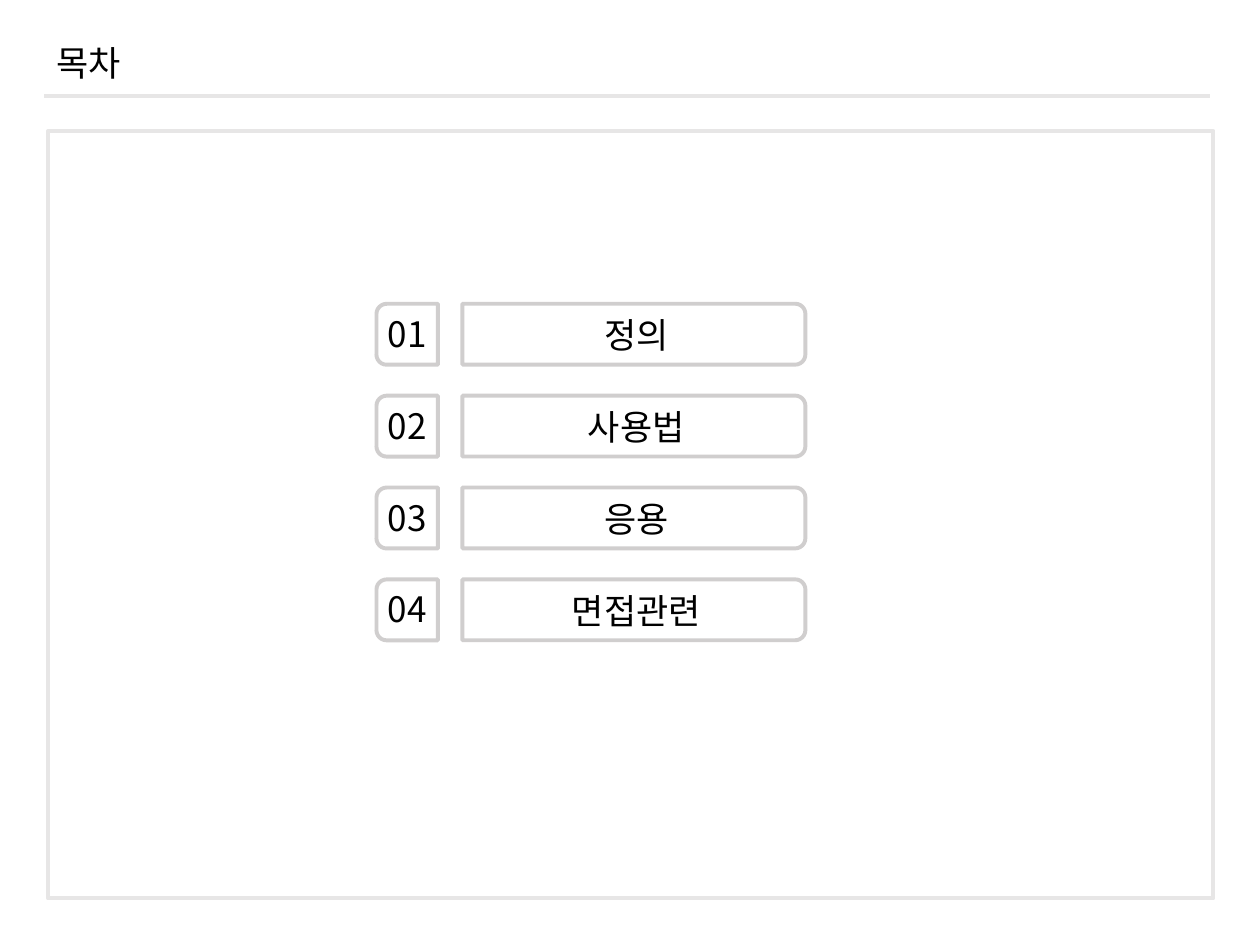
from lxml import etree
from pptx import Presentation
from pptx.dml.color import RGBColor
from pptx.enum.shapes import MSO_CONNECTOR, MSO_SHAPE
from pptx.enum.text import MSO_ANCHOR, MSO_AUTO_SIZE, PP_ALIGN
from pptx.oxml.ns import qn
from pptx.util import Pt

RECTANGLE = MSO_SHAPE.RECTANGLE
TAB = MSO_SHAPE.ROUND_2_SAME_RECTANGLE
STRAIGHT = MSO_CONNECTOR.STRAIGHT
TOP = MSO_ANCHOR.TOP
FIT_SHAPE = MSO_AUTO_SIZE.SHAPE_TO_FIT_TEXT
LEFT, CENTER = PP_ALIGN.LEFT, PP_ALIGN.CENTER

BLACK = RGBColor(0x00, 0x00, 0x00)
WHITE = RGBColor(0xFF, 0xFF, 0xFF)
LIGHT_GRAY = RGBColor(0xE7, 0xE6, 0xE6)
GRAY = RGBColor(0xD0, 0xCE, 0xCE)

FONT = "Noto Sans CJK KR"
LINE_WIDTH = 2.25
TOPICS = ["정의", "사용법", "응용", "면접관련"]
FIRST_ROW_CENTER = 191
ROW_PITCH = 52.5
TAB_HEIGHT = 34.8


def write_text(shape, text, size=20, color=BLACK, align=LEFT):
    frame = shape.text_frame
    frame.word_wrap = True
    frame.auto_size = FIT_SHAPE
    frame.vertical_anchor = TOP
    paragraph = frame.paragraphs[0]
    paragraph.alignment = align
    run = paragraph.add_run()
    run.text = text
    run.font.name = FONT
    run.font.size = Pt(size)
    run.font.color.rgb = color
    # Korean glyphs take the East Asian typeface
    east_asian = etree.SubElement(run.font._element, qn("a:ea"))
    east_asian.set("typeface", FONT)


def style_line(shape, color):
    shape.line.color.rgb = color
    shape.line.width = Pt(LINE_WIDTH)


def add_title(slide, text):
    title = slide.shapes.title
    title.left, title.top = Pt(25.2), Pt(20.2)
    title.width, title.height = Pt(91.4), Pt(31.2)
    write_text(title, text)


def add_title_rule(slide):
    rule = slide.shapes.add_connector(STRAIGHT, Pt(25.2), Pt(54.9), Pt(691.2), Pt(54.9))
    style_line(rule, LIGHT_GRAY)
    etree.SubElement(rule._element.spPr, qn("a:effectLst"))


def add_content_frame(slide):
    panel = slide.shapes.add_shape(RECTANGLE, Pt(27.4), Pt(74.9), Pt(666), Pt(438.5))
    panel.shadow.inherit = False
    panel.fill.solid()
    panel.fill.fore_color.rgb = WHITE
    style_line(panel, LIGHT_GRAY)


def add_label(group, text, left, top, width, align):
    label = group.shapes.add_textbox(Pt(left), Pt(top), Pt(width), Pt(31.5))
    write_text(label, text, align=align)


def add_tab(group, center_x, center_y, length, rotation):
    """Outline with two round corners, turned so that they face sideways."""
    tab = group.shapes.add_shape(
        TAB, Pt(center_x - TAB_HEIGHT / 2), Pt(center_y - length / 2),
        Pt(TAB_HEIGHT), Pt(length))
    tab.rotation = rotation
    tab.shadow.inherit = False
    tab.fill.background()
    style_line(tab, GRAY)


def add_topic(slide, number, topic, center_y):
    row = slide.shapes.add_group_shape()
    add_label(row, topic, 267.1, center_y - 15.2, 193, CENTER)
    add_label(row, f"{number:02}", 214.6, center_y - 16.1, 39.6, LEFT)
    add_tab(row, 232.7, center_y, 35.1, 270)
    add_tab(row, 362.2, center_y, 196, 90)


def main():
    deck = Presentation()
    deck.slide_width, deck.slide_height = Pt(720), Pt(540)
    slide = deck.slides.add_slide(deck.slide_layouts[5])

    # Page frame and heading
    add_content_frame(slide)
    add_title_rule(slide)
    add_title(slide, "목차")

    # Contents rows
    for index, topic in enumerate(TOPICS):
        add_topic(slide, index + 1, topic, FIRST_ROW_CENTER + index * ROW_PITCH)

    deck.save("out.pptx")


if __name__ == "__main__":
    main()
